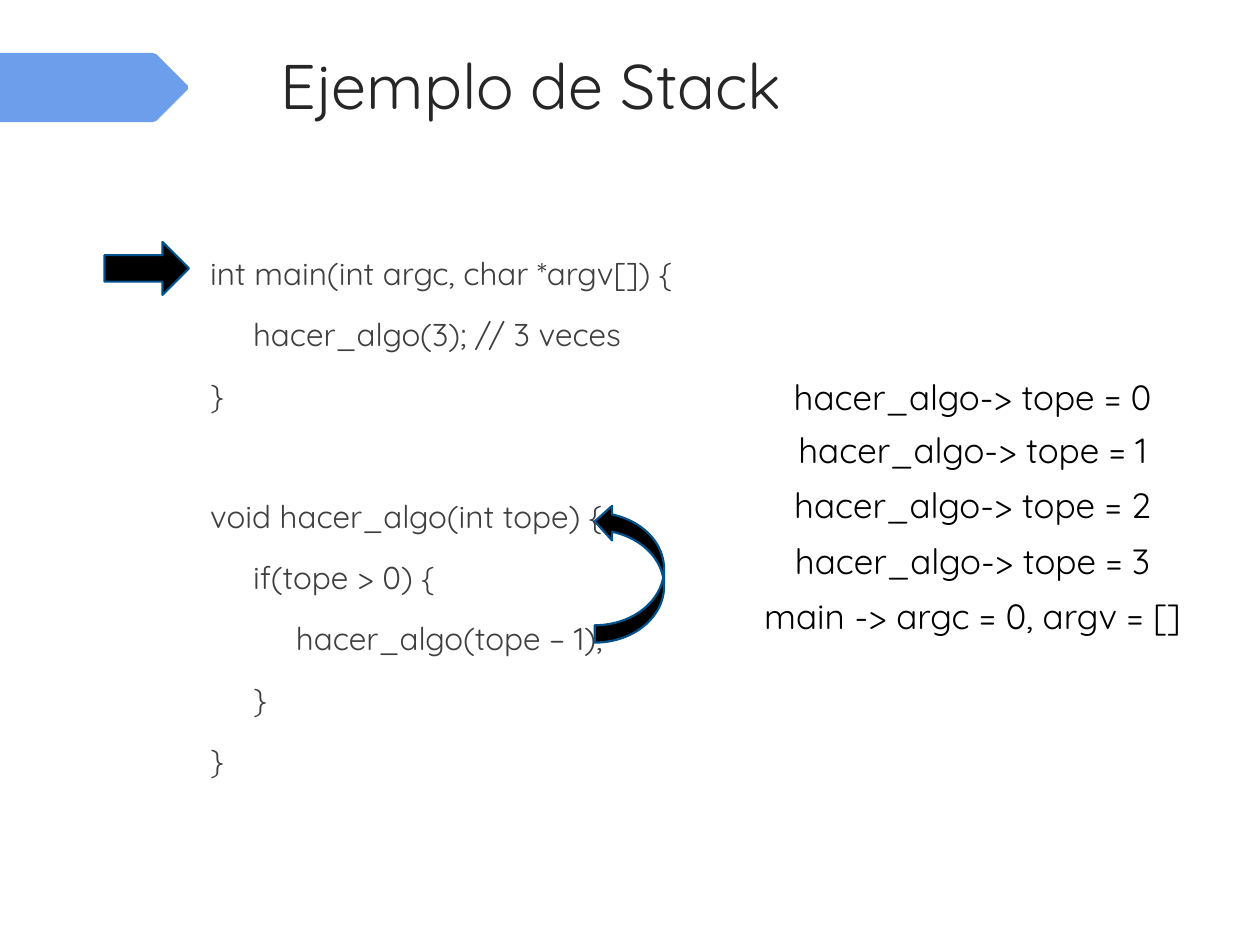
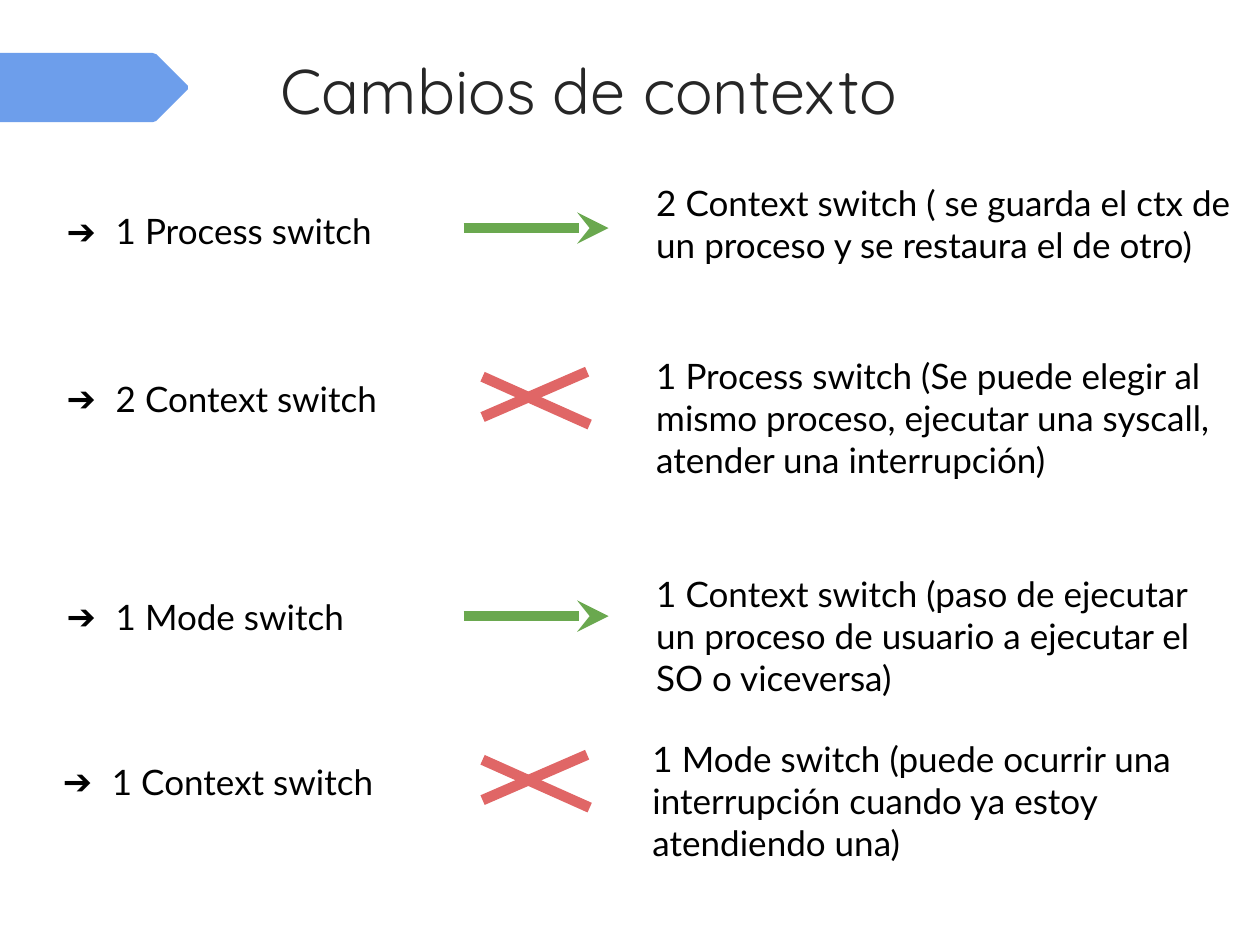
from lxml.etree import SubElement
from pptx import Presentation
from pptx.dml.color import RGBColor
from pptx.enum.shapes import MSO_CONNECTOR, MSO_SHAPE
from pptx.enum.text import MSO_ANCHOR, PP_ALIGN
from pptx.oxml.ns import qn
from pptx.util import Pt

PX = 9144
COLORS = {
    "band": "6D9EEB", "title": "262626", "code": "3F3F3F", "black": "000000",
    "outline": "00518C", "yes": "6AA84F", "no": "E06666",
}
RGB = {name: RGBColor.from_string(value) for name, value in COLORS.items()}


def add_text(s, box, lines, font, size, color, inset=5):
    tf = s.shapes.add_textbox(*[v * PX for v in box]).text_frame
    tf.word_wrap = True
    tf.margin_left = tf.margin_right = 10 * PX
    tf.margin_top = tf.margin_bottom = inset * PX
    tf.text = "\n".join(lines)
    for p in tf.paragraphs:
        for r in p.runs:
            r.font.name = font
            r.font.size = Pt(size)
            r.font.color.rgb = RGB[color]
    return tf


def add_line(s, ends, color):
    cx = s.shapes.add_connector(MSO_CONNECTOR.STRAIGHT, *[v * PX for v in ends])
    cx.line.color.rgb = RGB[color]
    cx.line.width = Pt(6)
    SubElement(cx._element.spPr, qn("a:effectLst"))
    return cx


prs = Presentation()
prs.slide_width = 1000 * PX
prs.slide_height = 750 * PX

slides = []
for title, y in [("Ejemplo de Stack", 32), ("Cambios de contexto", 36)]:
    s = prs.slides.add_slide(prs.slide_layouts[6])
    fb = s.shapes.build_freeform(0, 42, scale=PX)
    fb.add_line_segments([(121, 42), (124, 43), (149, 68), (149, 71),
                          (124, 96), (121, 97), (0, 97)], close=True)
    sp = fb.convert_to_shape()
    sp.shadow.inherit = False
    sp.fill.solid()
    sp.fill.fore_color.rgb = RGB["band"]
    sp.line.fill.background()
    add_text(s, (213, y, 721, 82), [title], "Quicksand", 36, "title")
    slides.append(s)
stack_slide, switch_slide = slides

code = [
    "int main(int argc, char *argv[]) {",
    "     hacer_algo(3); // 3 veces",
    "}",
    "void hacer_algo(int tope) {",
    "     if(tope > 0) {",
    "          hacer_algo(tope – 1);",
    "     }",
    "}",
]
tf = add_text(stack_slide, (157, 192, 426, 463), code, "Quicksand", 18, "code")
for i, p in enumerate(tf.paragraphs):
    p.line_spacing = 1.15
    if i:
        p.space_before = Pt(44.6 if code[i].startswith("void") else 10)

frames = [(293, "hacer_algo-> tope = 0"), (335, "hacer_algo-> tope = 1"),
          (379, "hacer_algo-> tope = 2"), (423, "hacer_algo-> tope = 3"),
          (467, "main -> argc = 0, argv = []")]
for y, frame in frames:
    tf = add_text(stack_slide, (586, y, 372, 44), [frame], "Quicksand", 20, "black")
    tf.paragraphs[0].alignment = PP_ALIGN.CENTER

arrows = []
for kind, box in [(MSO_SHAPE.RIGHT_ARROW, (83, 192, 67, 42)),
                  (MSO_SHAPE.CURVED_LEFT_ARROW, (472, 400, 55, 110))]:
    sp = stack_slide.shapes.add_shape(kind, *[v * PX for v in box])
    sp.shadow.inherit = False
    sp.fill.solid()
    sp.fill.fore_color.rgb = RGB["black"]
    sp.line.color.rgb = RGB["outline"]
    sp.line.width = Pt(1.25)
    arrows.append(sp)
call_arrow = arrows[1]
call_arrow.rotation = 180
call_arrow._element.spPr.find(qn("a:xfrm")).set("flipH", "1")

rows = [
    ("1 Process switch", 32, 101, True, 181, 511, 134,
     "2 Context switch ( se guarda el ctx de un proceso y se restaura el de otro)"),
    ("2 Context switch", 32, 234, False, 295, 511, 271,
     "1 Process switch (Se puede elegir al mismo proceso, ejecutar una syscall, "
     "atender una interrupción)"),
    ("1 Mode switch", 32, 407, True, 489, 511, 444,
     "1 Context switch (paso de ejecutar un proceso de usuario a ejecutar el SO "
     "o viceversa)"),
    ("1 Context switch", 29, 538, False, 599, 508, 575,
     "1 Mode switch (puede ocurrir una interrupción cuando ya estoy atendiendo una)"),
]
for cause, cause_x, cause_y, implies, mark_y, effect_x, effect_y, effect in rows:
    tf = add_text(switch_slide, (cause_x, cause_y, 355, 164), [cause],
                  "Lato", 20, "black", 10)
    tf.vertical_anchor = MSO_ANCHOR.MIDDLE
    pPr = tf.paragraphs[0]._p.get_or_add_pPr()
    pPr.set("marL", str(50 * PX))
    pPr.set("indent", str(-39 * PX))
    SubElement(SubElement(pPr, qn("a:buClr")), qn("a:srgbClr"), val=COLORS["black"])
    SubElement(pPr, qn("a:buFont"), typeface="Lato")
    SubElement(pPr, qn("a:buChar"), char="➔")
    add_text(switch_slide, (effect_x, effect_y, 479, 144), [effect],
             "Lato", 20, "black", 10)
    if implies:
        cx = add_line(switch_slide, (368, mark_y, 483, mark_y), "yes")
        SubElement(cx.line._get_or_add_ln(), qn("a:tailEnd"), type="stealth")
    else:
        add_line(switch_slide, (383, mark_y + 36, 466, mark_y), "no")
        add_line(switch_slide, (383, mark_y + 4, 468, mark_y + 42), "no")

prs.save("out.pptx")
